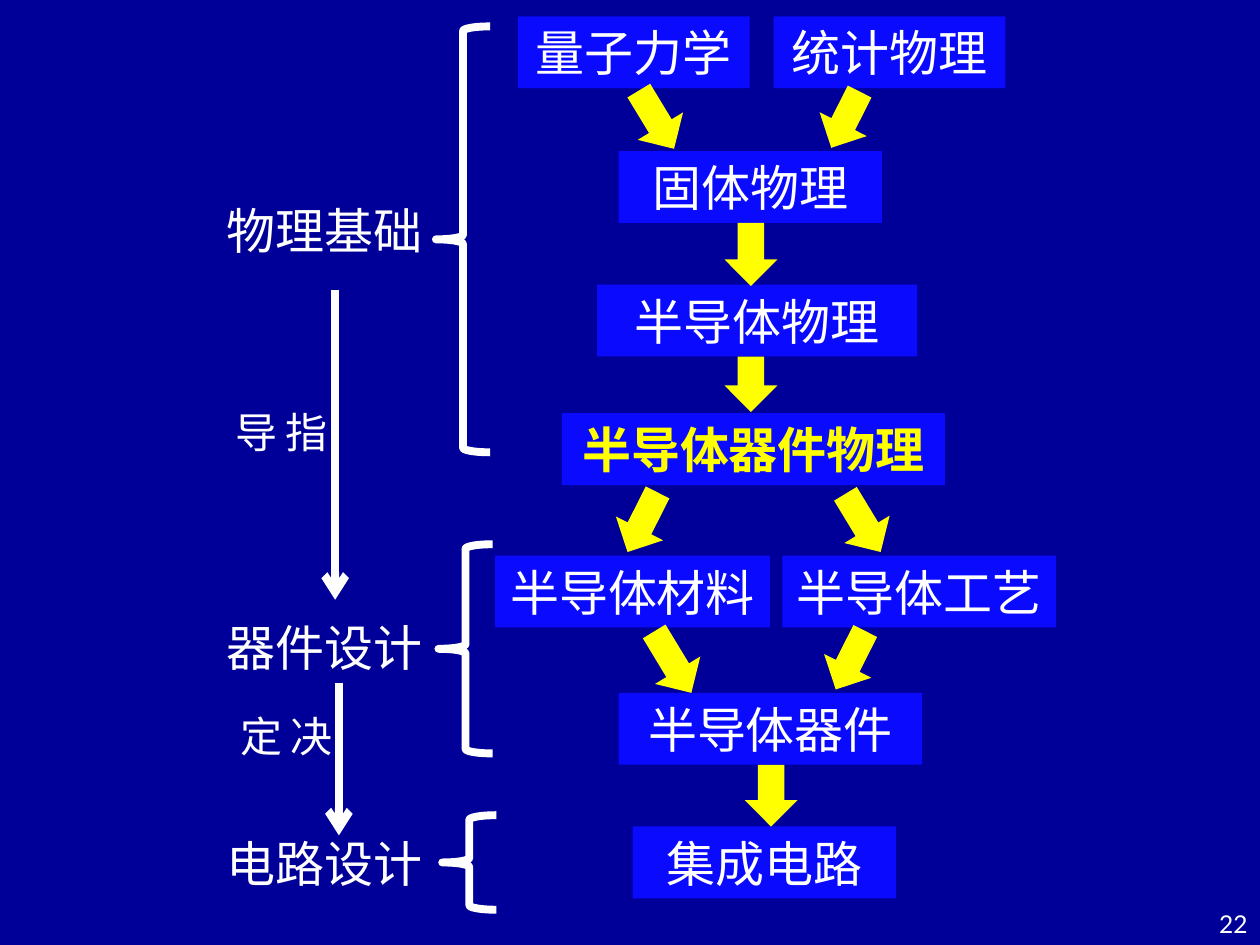
from lxml.etree import SubElement
from pptx import Presentation
from pptx.dml.color import RGBColor
from pptx.enum.shapes import MSO_CONNECTOR, MSO_SHAPE
from pptx.enum.text import MSO_ANCHOR, PP_ALIGN
from pptx.oxml.ns import qn
from pptx.util import Inches, Pt

COLORS = {"navy": "000099", "blue": "0A0AFF", "white": "FFFFFF", "yellow": "FFFF00"}
CJK = "Noto Sans CJK SC"
ROW_HEIGHT = 0.57
ARROW_WIDTH = 0.42
BRACE_WIDTH = 0.43
TILT = {"down": 0, "left": 26.8, "right": 328.8}

TOPICS = [
    ("量子力学", 0.18, 0, 1.84),
    ("统计物理", 2.21, 0, 1.84),
    ("固体物理", 0.98, 1.07, 2.09),
    ("半导体物理", 0.81, 2.13, 2.54),
    ("半导体器件物理", 0.53, 3.15, 3.04),
    ("半导体材料", 0, 4.28, 2.18),
    ("半导体工艺", 2.28, 4.28, 2.17),
    ("半导体器件", 0.98, 5.37, 2.41),
    ("集成电路", 1.09, 6.43, 2.09),
]
KEY_TOPIC = "半导体器件物理"
FLOWS = [
    ("right", 1.07, 0.55, 0.54),
    ("left", 2.57, 0.57, 0.5),
    ("down", 1.82, 1.64, 0.5),
    ("down", 1.82, 2.7, 0.44),
    ("left", 0.96, 3.75, 0.53),
    ("right", 2.71, 3.75, 0.54),
    ("right", 1.2, 4.84, 0.57),
    ("left", 2.61, 4.85, 0.52),
    ("down", 1.98, 5.94, 0.49),
]
STAGES = [
    ("物理基础", 1.33, 1.9, 0, 3.38),
    ("器件设计", 4.64, 1.92, 4.11, 1.66),
    ("电路设计", 6.35, 1.95, 6.26, 0.75),
]
LINKS = [
    ("指导", 0.5, 2.96, 1.1, 2.09, 4.55),
    ("决定", 0.54, 5.37, 1.13, 5.21, 6.42),
]


def rgb(name):
    """Return the palette colour called name."""
    return RGBColor.from_string(COLORS[name])


def write(shape, text, size=28, color="white", bold=False, font=CJK,
          align=PP_ALIGN.CENTER, anchor=MSO_ANCHOR.MIDDLE, vertical=False):
    """Put one formatted line of text into a shape."""
    frame = shape.text_frame
    frame.word_wrap = True
    frame.vertical_anchor = anchor
    if vertical:
        frame._txBody.bodyPr.set("vert", "eaVert")
    paragraph = frame.paragraphs[0]
    paragraph.alignment = align
    run = paragraph.add_run()
    run.text = text
    run.font.size = Pt(size)
    run.font.bold = bold
    run.font.color.rgb = rgb(color)
    run.font.name = font
    SubElement(run._r.get_or_add_rPr(), qn("a:ea"), typeface=font)


def add_preset(slide, preset, left, top, width, height, fill=None, line=None):
    """Add a shadowless preset shape with an optional fill and outline."""
    shape = slide.shapes.add_shape(
        preset, Inches(left), Inches(top), Inches(width), Inches(height))
    shape.shadow.inherit = False
    if fill:
        shape.fill.solid()
        shape.fill.fore_color.rgb = rgb(fill)
    else:
        shape.fill.background()
    if line:
        shape.line.color.rgb = rgb(line)
        shape.line.width = Pt(4.5)
    else:
        shape.line.fill.background()
    return shape


def add_label(slide, text, left, top, width, height, **style):
    """Add a text box holding one line."""
    label = slide.shapes.add_textbox(
        Inches(left), Inches(top), Inches(width), Inches(height))
    write(label, text, **style)


def add_link(slide, x, start, end):
    """Draw a vertical white arrow from start down to end."""
    link = slide.shapes.add_connector(
        MSO_CONNECTOR.STRAIGHT, Inches(x), Inches(start), Inches(x), Inches(end))
    link.line.color.rgb = rgb("white")
    link.line.width = Pt(4.5)
    SubElement(link.line._get_or_add_ln(), qn("a:tailEnd"), type="arrow")
    SubElement(link._element.spPr, qn("a:effectLst"))


def add_topics(slide, left, top):
    """Build the chart of subjects and the arrows between them."""
    for name, x, y, width in TOPICS:
        topic = add_preset(slide, MSO_SHAPE.RECTANGLE, left + x, top + y,
                           width, ROW_HEIGHT, fill="blue")
        is_key = name == KEY_TOPIC
        write(topic, name, color="yellow" if is_key else "white", bold=is_key)
    for direction, x, y, length in FLOWS:
        flow = add_preset(slide, MSO_SHAPE.DOWN_ARROW, left + x, top + y,
                          ARROW_WIDTH, length, fill="yellow")
        flow.rotation = TILT[direction]


def add_stages(slide, left, top):
    """Build the stage labels with their braces and linking arrows."""
    for name, y, brace_x, brace_y, brace_height in STAGES:
        add_preset(slide, MSO_SHAPE.LEFT_BRACE, left + brace_x, top + brace_y,
                   BRACE_WIDTH, brace_height, line="white")
        add_label(slide, name, left, top + y, 2.03, ROW_HEIGHT)
    for name, x, y, arrow_x, start, end in LINKS:
        add_link(slide, left + arrow_x, top + start, top + end)
        add_label(slide, name, left + x, top + y, 0.61, 0.78, size=24,
                  align=PP_ALIGN.LEFT, anchor=MSO_ANCHOR.TOP, vertical=True)


def add_page_number(slide, left, top, width, height):
    """Write the page number in the given box."""
    add_label(slide, "22", left, top, width, height, size=14, font="Lato",
              align=PP_ALIGN.RIGHT)


def main():
    """Build and save the slide."""
    deck = Presentation()
    deck.slide_width, deck.slide_height = Inches(10), Inches(7.5)
    slide = deck.slides.add_slide(deck.slide_layouts[6])
    slide.background.fill.solid()
    slide.background.fill.fore_color.rgb = rgb("navy")
    add_topics(slide, 3.93, 0.13)
    add_stages(slide, 1.56, 0.21)
    add_page_number(slide, 9.42, 7.17, 0.58, 0.33)
    deck.save("out.pptx")


if __name__ == "__main__":
    main()
